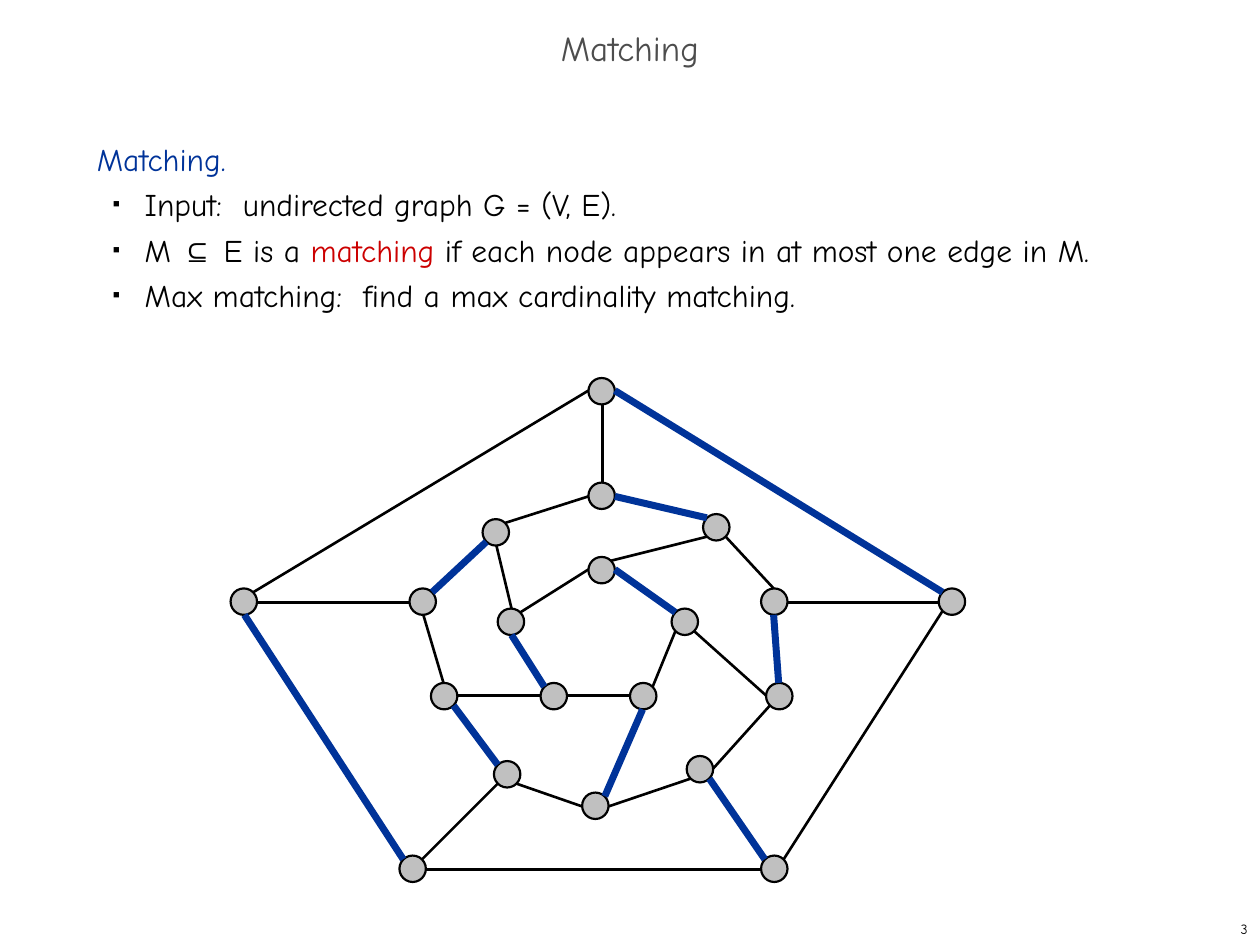
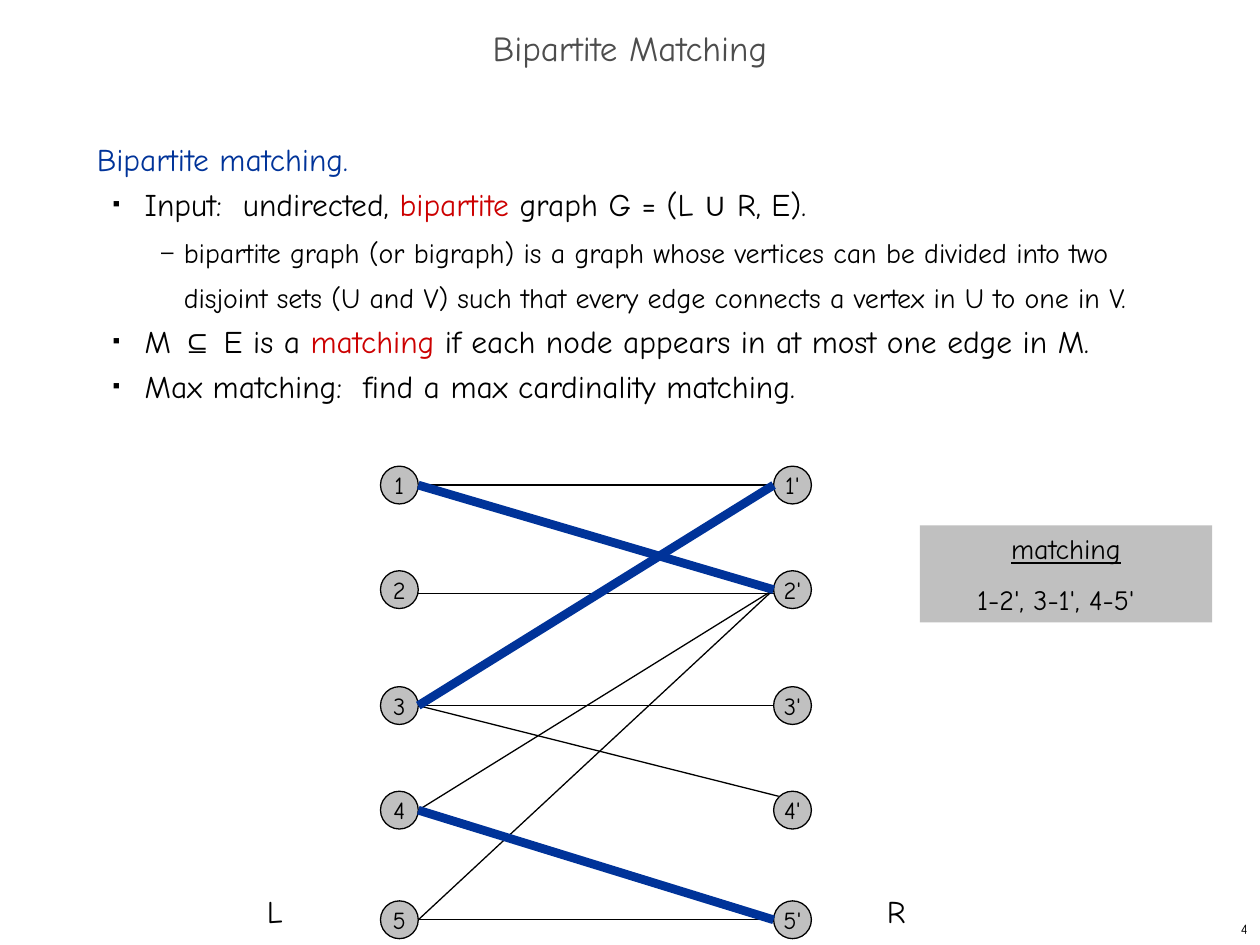
from dataclasses import dataclass
from typing import NamedTuple

from lxml import etree
from pptx import Presentation
from pptx import util as u
from pptx.dml.color import RGBColor
from pptx.enum import shapes, text
from pptx.oxml.ns import qn

PX = 9144  # 100 px to the inch
FONT = "Comic Neue"
HUES = {"black": "000000", "blue": "003399", "red": "CC0000",
        "gray": "C0C0C0", "title": "4D4D4D"}
ALIGN = text.PP_ALIGN
MIDDLE = text.MSO_ANCHOR.MIDDLE
SITES = {"n": (0, -1), "ne": (1, -1), "e": (1, 0), "se": (1, 1),
         "s": (0, 1), "sw": (-1, 1), "w": (-1, 0), "nw": (-1, -1)}


class Run(NamedTuple):
    text: str
    hue: str = "black"
    font: str = FONT


class Level(NamedTuple):
    size: int
    left: int = 0
    hang: int = 0
    mark: str = ""
    scale: int = 100


class Para(NamedTuple):
    level: int
    runs: list[Run]


class Box(NamedTuple):
    left: int
    top: int
    width: int
    height: int


@dataclass
class Node:
    left: int
    top: int
    size: int
    label: str = ""

    def site(self, name: str) -> tuple[int, int]:
        """Point on the rim in a compass direction."""
        dx, dy = SITES[name]
        half = self.size / 2
        reach = half * (0.71 if dx and dy else 1)
        return (round(self.left + half + dx * reach),
                round(self.top + half + dy * reach))


class Edge(NamedTuple):
    start: str
    exit: str
    end: str
    entry: str


LEVELS = [Level(18), Level(18, 38, 25, "■", 35), Level(16, 69, 18, "–", 80)]
SHARED = [
    Para(1, [Run("M "), Run("⊆", font="Arial"), Run(" E is a "),
             Run("matching", "red"),
             Run(" if each node appears in at most one edge in M.")]),
    Para(1, [Run("Max matching:  find a max cardinality matching.")]),
]

# o: outer ring, m: middle ring, i: inner ring, clockwise from the top
RINGS = {
    "o": [(467, 300), (745, 467), (604, 679), (317, 679), (183, 467)],
    "m": [(467, 383), (558, 408), (604, 467), (608, 542), (545, 600),
          (462, 629), (392, 604), (342, 542), (325, 467), (383, 412)],
    "i": [(467, 442), (533, 483), (500, 542), (429, 542), (395, 483)],
}
FREE = """
i2 ne i1 sw, i3 e i2 w, i4 ne i0 w, o2 ne o1 sw, o3 e o2 w, o4 ne o0 w,
m2 n m1 se, m3 sw m4 e, m0 w m9 ne, m8 s m7 n, m6 se m5 w, m5 e m4 sw,
m6 sw o3 ne, m8 w o4 e, m0 n o0 s, m2 e o1 w, m3 w i1 se, i3 w m7 e,
i4 n m9 s, m1 sw i0 ne
"""
MATCHED = """
i0 e i1 nw, i3 nw i4 s, o0 e o1 nw, o3 nw o4 s, m0 e m1 nw, m3 n m2 s,
m9 sw m8 ne, m7 se m6 nw, o2 nw m4 se, i2 s m5 ne
"""
ROWS = [370, 453, 545, 628, 715]
SIDES = {"": 302, "'": 614}
PAIRS = "1 e 1' w, 3 e 3' w, 5 e 5' w, 4 e 2' w, 3 e 4' nw, 5 e 2' w"
CHOSEN = "1 e 2' w, 4 e 5' w, 3 e 1' w"


def px(n: float) -> u.Emu:
    return u.Emu(round(n * PX))


def rgb(hue: str) -> RGBColor:
    return RGBColor.from_string(HUES[hue])


def style(run, size: float, hue: str = "black", font: str = FONT) -> None:
    run.font.size = u.Pt(size)
    run.font.name = font
    run.font.color.rgb = rgb(hue)


def label(slide, box: Box, words: str, size: int, align=ALIGN.LEFT,
          anchor=text.MSO_ANCHOR.TOP) -> None:
    frame = slide.shapes.add_textbox(*map(px, box)).text_frame
    frame.word_wrap = True
    frame.vertical_anchor = anchor
    frame.text = words
    para = frame.paragraphs[0]
    para.alignment = align
    style(para.runs[0], size)


def bullet(para, level: Level) -> None:
    ppr = para._p.get_or_add_pPr()
    ppr.set("marL", str(px(level.left)))
    ppr.set("indent", str(-px(level.hang)))
    if not level.mark:
        etree.SubElement(ppr, qn("a:buNone"))
        return
    color = etree.SubElement(ppr, qn("a:buClr"))
    etree.SubElement(color, qn("a:srgbClr"), val=HUES["black"])
    etree.SubElement(ppr, qn("a:buSzPct"), val=str(level.scale * 1000))
    etree.SubElement(ppr, qn("a:buFont"), typeface="Arial")
    etree.SubElement(ppr, qn("a:buChar"), char=level.mark)


def body(slide, paras: list[Para]) -> None:
    frame = slide.shapes.add_textbox(*map(px, Box(67, 100, 858, 592))).text_frame
    frame.word_wrap = True
    for i, item in enumerate(paras):
        para = frame.add_paragraph() if i else frame.paragraphs[0]
        level = LEVELS[item.level]
        bullet(para, level)
        para.line_spacing = u.Pt(26)
        for part in item.runs:
            run = para.add_run()
            run.text = part.text
            style(run, level.size, part.hue, part.font)


def start(deck, name: str, number: int, paras: list[Para]):
    """Add a slide with its title, number and body text."""
    slide = deck.slides.add_slide(deck.slide_layouts[5])
    title = slide.shapes.title
    title.left, title.top, title.width, title.height = map(px, Box(0, 17, 1000, 50))
    frame = title.text_frame
    frame.text = name
    frame.auto_size = text.MSO_AUTO_SIZE.NONE
    frame.vertical_anchor = MIDDLE
    para = frame.paragraphs[0]
    para.alignment = ALIGN.CENTER
    para.line_spacing = 0.7
    style(para.runs[0], 20, "title")
    label(slide, Box(792, 725, 208, 25), str(number), 8, ALIGN.RIGHT, MIDDLE)
    body(slide, paras)
    return slide


def line(slide, a: tuple[int, int], b: tuple[int, int], width: float,
         hue: str = "black") -> None:
    link = slide.shapes.add_connector(shapes.MSO_CONNECTOR.STRAIGHT,
                                      *map(px, a + b))
    link.line.width = u.Pt(width)
    link.line.color.rgb = rgb(hue)
    etree.SubElement(link._element.spPr, qn("a:effectLst"))


def join(slide, nodes: dict[str, Node], edges: list[Edge], width: float,
         hue: str = "black") -> None:
    for edge in edges:
        line(slide, nodes[edge.start].site(edge.exit),
             nodes[edge.end].site(edge.entry), width, hue)


def links(table: str) -> list[Edge]:
    return [Edge(*row.split()) for row in table.split(",")]


def block(slide, kind, box: Box):
    """Add a flat gray shape without outline."""
    shape = slide.shapes.add_shape(kind, *map(px, box))
    shape.shadow.inherit = False
    shape.fill.solid()
    shape.fill.fore_color.rgb = rgb("gray")
    shape.line.fill.background()
    return shape


def dot(slide, node: Node, width: float) -> None:
    shape = block(slide, shapes.MSO_SHAPE.OVAL,
                  Box(node.left, node.top, node.size, node.size))
    shape.line.color.rgb = rgb("black")
    shape.line.width = u.Pt(width)
    if node.label:
        frame = shape.text_frame
        frame.text = node.label
        frame.word_wrap = False
        frame.vertical_anchor = MIDDLE
        frame.paragraphs[0].alignment = ALIGN.CENTER
        style(frame.paragraphs[0].runs[0], 14)


def legend(slide) -> None:
    frame = block(slide, shapes.MSO_SHAPE.RECTANGLE,
                  Box(730, 417, 232, 77)).text_frame
    frame.word_wrap = True
    frame.vertical_anchor = text.MSO_ANCHOR.TOP
    frame.text = "matching\n1-2', 3-1', 4-5'"
    head, pairs = frame.paragraphs
    for para in (head, pairs):
        para.alignment = ALIGN.CENTER
        style(para.runs[0], 16)
    head.runs[0].font.underline = True
    pairs.space_before = u.Pt(10)
    pairs._p.get_or_add_pPr().set("marR", str(px(16)))


def general(deck) -> None:
    slide = start(deck, "Matching", 3, [
        Para(0, [Run("Matching.", "blue")]),
        Para(1, [Run("Input:  undirected graph G = (V, E).")]),
        *SHARED])
    nodes = {f"{ring}{i}": Node(*spot, 21)
             for ring, spots in RINGS.items() for i, spot in enumerate(spots)}
    for node in nodes.values():
        dot(slide, node, 1.25)
    join(slide, nodes, links(FREE) + links(MATCHED), 1.5)
    join(slide, nodes, links(MATCHED), 4, "blue")


def sided(deck) -> None:
    """Build the slide on bipartite graphs."""
    slide = start(deck, "Bipartite Matching", 4, [
        Para(0, [Run("Bipartite matching.", "blue")]),
        Para(1, [Run("Input:  undirected, "), Run("bipartite", "red"),
                 Run(" graph G = (L "), Run("∪", font="Arial"),
                 Run(" R, E).")]),
        Para(2, [Run("bipartite graph (or bigraph) is a graph whose vertices "
                     "can be divided into two disjoint sets (U and V) such "
                     "that every edge connects a vertex in U to one in V.")]),
        *SHARED])
    nodes = {f"{i}{tick}": Node(left, top, 30, f"{i}{tick}")
             for tick, left in SIDES.items() for i, top in enumerate(ROWS, 1)}
    for node in nodes.values():
        dot(slide, node, 0.75)
    join(slide, nodes, links(PAIRS), 0.75)
    line(slide, (332, 471), (614, 471), 0.75)
    join(slide, nodes, links(CHOSEN), 5, "blue")
    legend(slide)
    for name, left in (("R", 694), ("L", 202)):
        label(slide, Box(left, 703, 67, 40), name, 18)


def main() -> None:
    deck = Presentation()
    deck.slide_width, deck.slide_height = px(1000), px(750)
    general(deck)
    sided(deck)
    deck.save("out.pptx")


if __name__ == "__main__":
    main()
